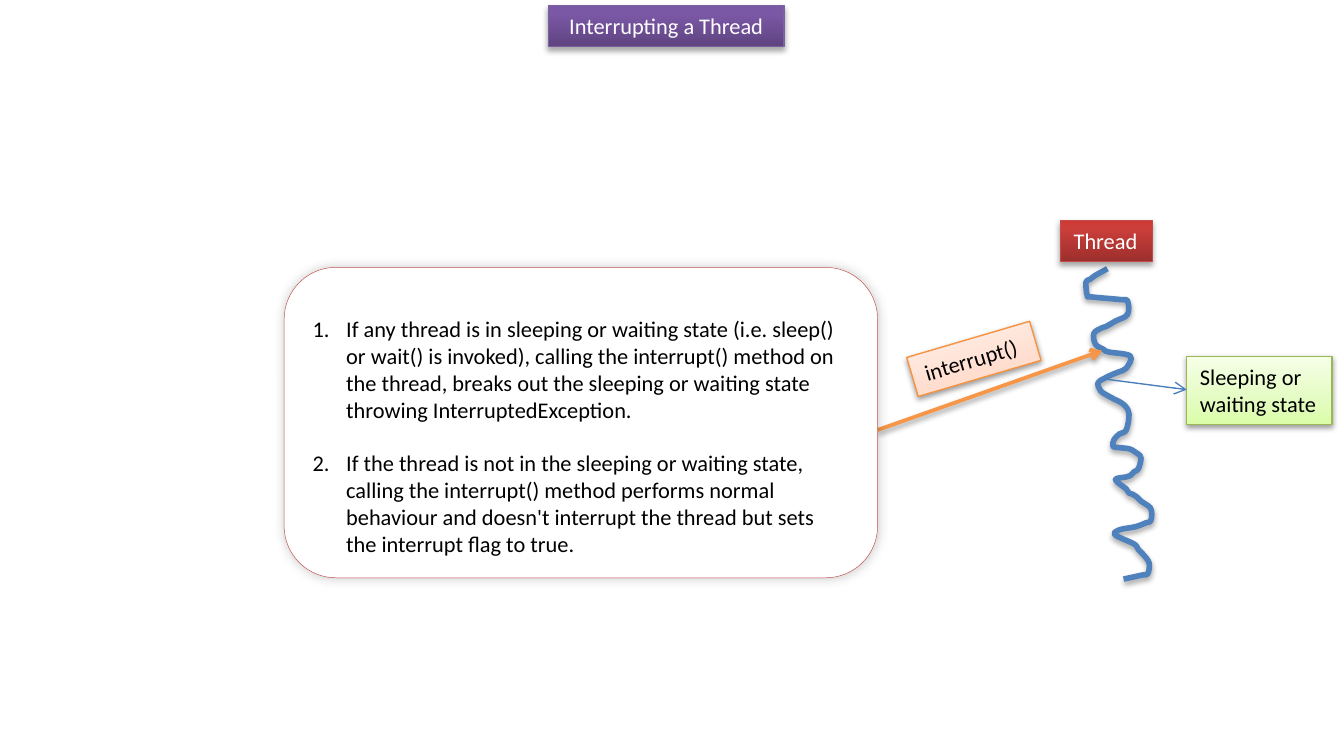
from dataclasses import dataclass
from typing import Optional

from lxml import etree
from pptx import Presentation
from pptx import util as u
from pptx.dml.color import RGBColor
from pptx.enum import shapes, text
from pptx.oxml.ns import qn

COLS, ROWS = 100, 55
CELL = u.Inches(0.1)
FONT, SIZE = "Calibri", 12


@dataclass(frozen=True)
class Shadow:
    alpha: int
    blur: float
    dist: float
    angle: int = 90


@dataclass(frozen=True)
class Label:
    lines: str
    col: float
    row: float
    cols: float
    rows: float
    stops: tuple  # (position in percent, colour), from the bottom up
    line: str
    ink: str
    shadow: Shadow
    rotation: float = 0
    align: Optional[text.PP_ALIGN] = None
    wrap: bool = False


DARK, LIGHT = Shadow(35, 3.1, 1.8), Shadow(38, 3.1, 1.6)
GLOW = Shadow(20, 6, 0, 225)

TITLE = Label("Interrupting a Thread", 40.8, 0.42, 17.55, 3.03,
              ((0, "5F4480"), (80, "7B58A6"), (100, "7C57A8")),
              "7D60A0", "FFFFFF", DARK, align=text.PP_ALIGN.CENTER, wrap=True)
THREAD = Label("Thread", 78.9, 16.42, 6.85, 3.03,
               ((0, "9C2F2D"), (80, "CB3E3A"), (100, "CE3B37")),
               "BF4C48", "FFFFFF", DARK)
STATE = Label("Sleeping or\nwaiting state", 88.3, 26.53, 10.8, 5.05,
              ((0, "DAFDA7"), (35, "E4FCC2"), (100, "F5FFE7")),
              "98B955", "000000", LIGHT)
CALL = Label("interrupt() ", 67.7, 25.2, 9.53, 3.03,
             ((0, "FFD2BD"), (35, "FFDED0"), (100, "FFF2ED")),
             "F69240", "000000", LIGHT, rotation=343.6)

RULES = (
    "If any thread is in sleeping or waiting state (i.e. sleep() or wait() is "
    "invoked), calling the interrupt() method on the thread, breaks out the "
    "sleeping or waiting state throwing InterruptedException.",
    "If the thread is not in the sleeping or waiting state, calling the "
    "interrupt() method performs normal behaviour and doesn't interrupt the "
    "thread but sets the interrupt flag to true. ",
)

# Knots of the thread's squiggle, in columns and rows
SQUIGGLE = (
    (82.4, 20), (81.5, 20.5), (81.1, 20.8), (80.8, 21), (80.9, 22), (81.2, 22.1),
    (83.4, 22.3), (83.9, 22.4), (83.9, 23.4), (83, 23.9), (82.3, 24.3), (82, 24.4),
    (81.4, 24.8), (81.5, 25.6), (82.1, 26), (82.5, 26.2), (84.1, 26.5), (83.8, 27.4),
    (83.2, 27.7), (82.7, 27.9), (82.1, 28.2), (81.7, 28.5), (81.9, 29.1), (82.7, 29.6),
    (83.6, 30.1), (84, 30.8), (83.8, 32), (83.3, 32.3), (82.9, 32.7), (82.8, 33.2),
    (83.1, 33.3), (84, 33.4), (84.4, 33.6), (84.7, 33.8), (84.9, 34.1), (84.7, 34.9),
    (84.4, 35.1), (84.1, 35.4), (83.8, 35.5), (83, 35.7), (83.8, 36.4), (84, 36.7),
    (84.3, 36.8), (84.6, 37), (84.9, 37.3), (85.2, 37.5), (85.6, 37.8), (85.7, 38.3),
    (85.6, 38.8), (85.3, 38.9), (84.5, 39.2), (83.4, 39.4), (82.9, 39.7), (83.3, 40),
    (84.4, 40.5), (84.7, 40.9), (85, 41.2), (85.5, 41.9), (85.4, 42.7), (85, 42.8),
    (83.6, 43.1),
)


def grid(n: float) -> int:
    return round(n * CELL)


def rgb(value: str) -> RGBColor:
    return RGBColor.from_string(value)


def add_color(parent, value: str):
    return etree.SubElement(parent, qn("a:srgbClr"), val=value)


def set_line(sp, color: str, width: float) -> None:
    sp.line.color.rgb = rgb(color)
    sp.line.width = u.Pt(width)


def set_shadow(sp, shadow: Optional[Shadow]) -> None:
    """Replace the theme effect; call after fill and line are set."""
    props = sp._element.spPr
    effects = props.find(qn("a:effectLst"))
    if effects is None:
        effects = etree.SubElement(props, qn("a:effectLst"))
    if shadow:
        outer = etree.SubElement(
            effects, qn("a:outerShdw"), blurRad=str(u.Pt(shadow.blur)),
            dist=str(u.Pt(shadow.dist)), dir=str(shadow.angle * 60000), rotWithShape="0")
        etree.SubElement(add_color(outer, "000000"), qn("a:alpha"),
                         val=str(shadow.alpha * 1000))


def style_text(p, color: str, align=None) -> None:
    p.alignment = align or text.PP_ALIGN.LEFT
    for r in p.runs:
        r.font.name, r.font.size = FONT, u.Pt(SIZE)
        r.font.color.rgb = rgb(color)


def add_label(s, label: Label) -> None:
    sp = s.shapes.add_shape(shapes.MSO_SHAPE.RECTANGLE, *map(
        grid, (label.col, label.row, label.cols, label.rows)))
    sp.rotation = label.rotation
    sp.fill.gradient()
    sp.fill.gradient_angle = 90
    stops = sp._element.spPr.find(".//" + qn("a:gsLst"))
    for old in list(stops):
        stops.remove(old)
    for position, color in label.stops:
        add_color(etree.SubElement(stops, qn("a:gs"), pos=str(position * 1000)), color)
    set_line(sp, label.line, 0.75)
    sp.shadow.inherit = False
    set_shadow(sp, label.shadow)
    tf = sp.text_frame
    tf.text = label.lines
    tf.word_wrap = label.wrap
    tf.vertical_anchor = text.MSO_ANCHOR.TOP
    for p in tf.paragraphs:
        style_text(p, label.ink, label.align)


def add_arrow(s, start: tuple, end: tuple, color: str, width: float,
              shadow: Optional[Shadow] = None) -> None:
    cx = s.shapes.add_connector(shapes.MSO_CONNECTOR.STRAIGHT, *map(grid, start + end))
    set_line(cx, color, width)
    etree.SubElement(cx.line._get_or_add_ln(), qn("a:tailEnd"), type="arrow")
    set_shadow(cx, shadow)


def add_squiggle(s) -> None:
    knots = [(grid(x), grid(y)) for x, y in SQUIGGLE]
    builder = s.shapes.build_freeform(*knots[0])
    builder.add_line_segments(knots[1:], close=False)
    sp = builder.convert_to_shape()
    # Bend each segment into a Bezier curve that follows its neighbours
    padded = knots[:1] + knots + knots[-1:]
    segments = list(sp._element.iter(qn("a:lnTo")))
    for seg, a, b, c, d in zip(segments, padded, padded[1:], padded[2:], padded[3:]):
        curve = etree.Element(qn("a:cubicBezTo"))
        leave = [q + (r - p) / 6 for p, q, r in zip(a, b, c)]
        arrive = [r - (v - q) / 6 for q, r, v in zip(b, c, d)]
        for x, y in (leave, arrive, c):
            etree.SubElement(curve, qn("a:pt"), x=str(round(x - sp.left)),
                             y=str(round(y - sp.top)))
        seg.getparent().replace(seg, curve)
    sp.fill.background()
    set_line(sp, "4F81BD", 3)
    sp.shadow.inherit = False
    set_shadow(sp, DARK)


def add_rules(s) -> None:
    sp = s.shapes.add_shape(shapes.MSO_SHAPE.ROUNDED_RECTANGLE,
                            *map(grid, (21.15, 19.9, 44.15, 23.1)))
    sp.fill.solid()
    sp.fill.fore_color.rgb = rgb("FFFFFF")
    set_line(sp, "C0504D", 0.25)
    sp.shadow.inherit = False
    set_shadow(sp, GLOW)
    tf = sp.text_frame
    tf.text = "\n".join(RULES)
    tf.word_wrap = True
    tf.vertical_anchor = text.MSO_ANCHOR.MIDDLE
    tf.margin_top = u.Inches(0.25)
    for i, p in enumerate(tf.paragraphs):
        props = p._p.get_or_add_pPr()
        props.set("marL", str(u.Inches(0.25)))
        props.set("indent", str(-u.Inches(0.25)))
        etree.SubElement(props, qn("a:buFont"), typeface="+mj-lt")
        etree.SubElement(props, qn("a:buAutoNum"), type="arabicPeriod")
        if i:
            p.space_before = u.Pt(14.4)
        style_text(p, "000000")


def main() -> None:
    prs = Presentation()
    prs.slide_width, prs.slide_height = grid(COLS), grid(ROWS)
    s = prs.slides.add_slide(prs.slide_layouts[6])
    # Title and the running thread
    add_label(s, TITLE)
    add_squiggle(s)
    add_label(s, THREAD)
    # Thread state and the call that interrupts it
    add_label(s, STATE)
    add_arrow(s, (82.1, 28.2), (88.3, 29), "4B7EBC", 0.75)
    add_arrow(s, (65.3, 32), (82, 26.1), "F79646", 2, LIGHT)
    add_label(s, CALL)
    # Explanation
    add_rules(s)
    prs.save("out.pptx")


if __name__ == "__main__":
    main()
